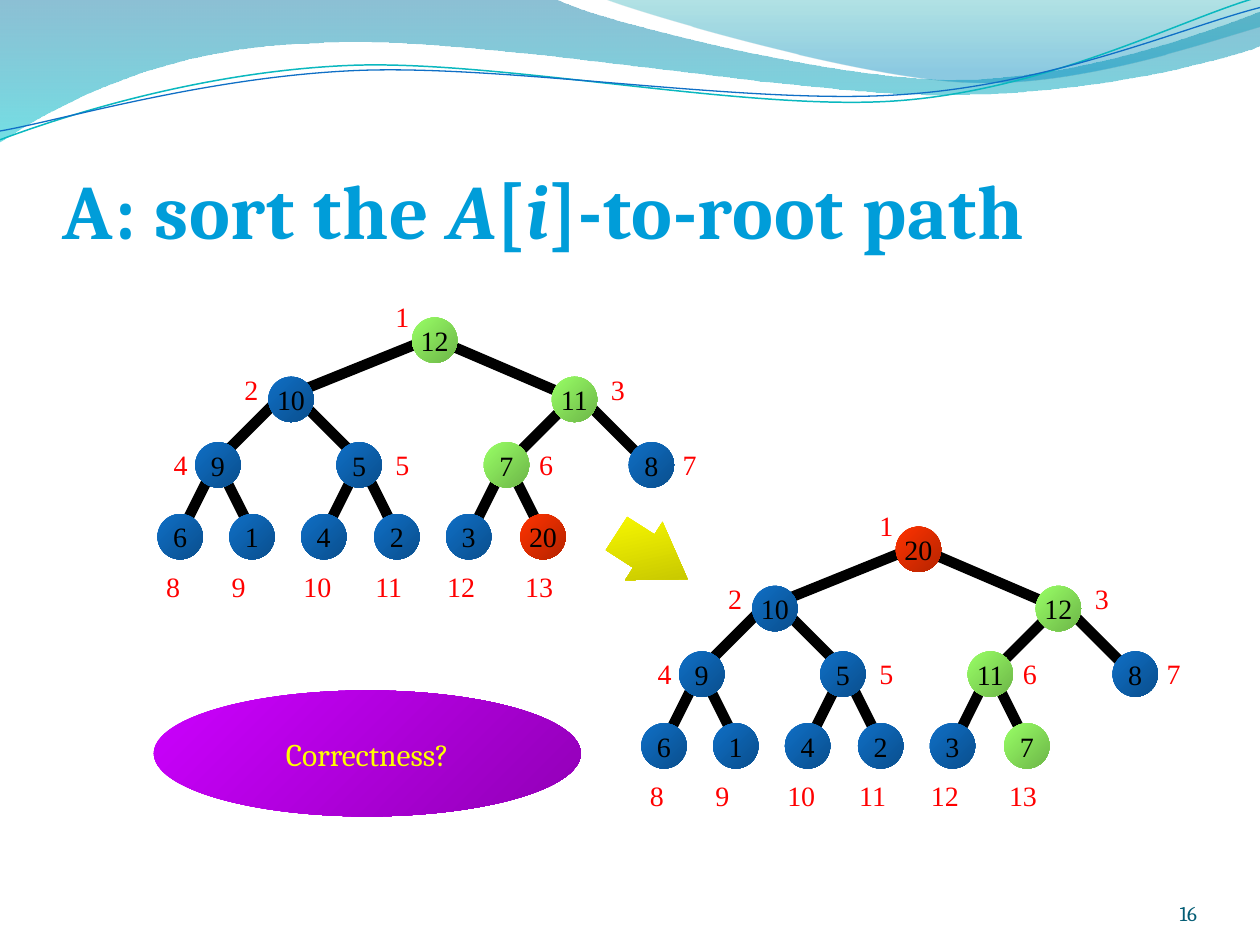
from lxml.etree import SubElement
from pptx import Presentation
from pptx.dml.color import RGBColor
from pptx.enum.shapes import MSO_CONNECTOR as Connector, MSO_SHAPE as Preset
from pptx.enum.text import MSO_ANCHOR as Anchor, MSO_AUTO_SIZE as AutoSize, PP_ALIGN as Align
from pptx.oxml.ns import qn
from pptx.util import Emu, Inches, Pt

# All lengths are in cells of a grid with 100 columns and 75 rows.
COLUMNS, ROWS = 100, 75
CELL = Inches(10) // COLUMNS
SERIF, NUMERALS = "Cambria", "Times New Roman"

COLORS = {
    "title": "009DD9", "page": "045D75", "index": "FF0000", "ink": "000000",
    "label": "FFFF00", "teal": "0AB8BF", "blue": "0F6FC6",
    "plain": "0F6FC6", "path": "99FF66", "moved": "FF3300",
    "arrow": "FFFF00", "question": "CC00FF",
}
DARK_END = {"shade": 46275}

# Heap slots 1 to 13, level by level: left edges of the nodes and of their index labels.
NODE_LEFTS = [32.7, 21.3, 43.8, 15.5, 26.7, 38.4, 49.9, 12.5, 18.2, 23.9, 29.7, 35.4, 41.3]
INDEX_LEFTS = [30.4, 18.4, 47.5, 12.8, 30.4, 41.8, 53.2, 12.2, 17.4, 23.1, 28.8, 34.5, 40.7]
NODE_TOPS = [25.2, 29.9, 35.1, 40.8]
INDEX_TOPS = [23.3, 29.1, 35, 44.7]
NODE_SIZE = 3.6

# Edges as start column, start row, columns across, rows down.
EDGES = [(34.3, 26.8, 11.9, 5.1), (34.3, 26.8, -11.4, 4.6)]
EDGES += [(23.4, 31.4, 5.2, 5.2), (22.4, 31.4, -5.2, 5.2),
          (46.2, 31.6, 5.2, 5.2), (45.4, 31.7, -5.2, 5.2)]
EDGES += [(x, 36.6, across, 6.2) for x in (17.2, 28.6, 40.2) for across in (-3.1, 3.1)]

BEFORE = [12, 10, 11, 9, 5, 7, 8, 6, 1, 4, 2, 3, 20]
AFTER = [20, 10, 12, 9, 5, 11, 8, 6, 1, 4, 2, 3, 7]
BEFORE_ROLES = {1: "path", 3: "path", 6: "path", 13: "moved"}
AFTER_ROLES = {1: "moved", 3: "path", 6: "path", 13: "path"}

# Wave outlines: a 2-tuple is a straight step, a 6-tuple is a cubic curve.
LEFT_WAVE = [
    (0, 0), (44, -0.1), (47.6, 1.7, 66.4, 6.3, 75.8, 6.3), (85.3, 6.3, 95.8, 2.6, 100, 0.9),
    (100.1, 3.6), (98.3, 4.4, 87, 7.6, 74.6, 7.5), (62.2, 7.5, 38.2, 2.8, 25.7, 3.4),
    (12.9, 3.6, 4.6, 8.3, -0.1, 11.3),
]
RIGHT_WAVE = [
    (47.9, -0.1), (50.9, 1.1, 68.2, 6.2, 76.9, 6.5), (85.6, 6.9, 96.1, 3.2, 100, 2.1), (100, 0),
]
TEAL_LINE = [
    (0, 11.1), (4.8, 9.3, 15.8, 5.7, 27.7, 5.2), (39.5, 4.7, 59.3, 8.9, 71.3, 8),
    (83.3, 7.1, 93.8, 1.5, 99.8, -0.2),
]
BLUE_LINE = [
    (0, 10.4), (4.7, 9.6, 16.4, 6.1, 28.3, 5.6), (40.3, 5.1, 59.7, 8.4, 71.7, 7.5),
    (83.6, 6.7, 94.1, 2.1, 100, 0.6),
]


def cells(*lengths):
    return [Emu(round(length * CELL)) for length in lengths]


def color(name):
    return RGBColor.from_string(COLORS[name])


def fill_gradient(shape, stops, angle):
    """Fill with stops of (percent, hex colour, colour changes); the angle runs clockwise."""
    shape.fill.solid()
    solid = shape._element.spPr.find(qn("a:solidFill"))
    gradient = solid.makeelement(qn("a:gradFill"), {"rotWithShape": "1"})
    stop_list = SubElement(gradient, qn("a:gsLst"))
    for percent, hex_color, changes in stops:
        stop = SubElement(stop_list, qn("a:gs"), pos=str(percent * 1000))
        tone = SubElement(stop, qn("a:srgbClr"), val=hex_color)
        for change, value in changes.items():
            SubElement(tone, qn(f"a:{change}"), val=str(value))
    SubElement(gradient, qn("a:lin"), ang=str(angle * 60000), scaled="0")
    solid.getparent().replace(solid, gradient)


def style_run(span, size, font_name, color_name):
    span.font.size = Pt(size)
    span.font.name = font_name
    span.font.color.rgb = color(color_name)


def add_wave(shapes, outline, closed):
    """Draw every control point as a corner, then merge each curve's three into one step."""
    points = [step[i:i + 2] for step in outline for i in range(0, len(step), 2)]
    builder = shapes.build_freeform(*cells(*points[0]))
    builder.add_line_segments([cells(*point) for point in points[1:]], close=closed)
    wave = builder.convert_to_shape()
    wave.shadow.inherit = False
    corners = iter(list(wave._element.iter(qn("a:lnTo"))))
    for step in outline[1:]:
        first = next(corners)
        if len(step) == 6:
            curve = first.makeelement(qn("a:cubicBezTo"), {})
            first.addprevious(curve)
            for corner in (first, next(corners), next(corners)):
                curve.append(corner[0])
                corner.getparent().remove(corner)
    return wave


def add_wave_area(shapes, outline, stops):
    wave = add_wave(shapes, outline, True)
    fill_gradient(wave, stops, 90)
    wave.line.fill.background()


def add_wave_line(shapes, outline, color_name, width):
    wave = add_wave(shapes, outline, False)
    wave.fill.background()
    wave.line.color.rgb = color(color_name)
    wave.line.width = Pt(width)


def add_gradient_shape(shapes, preset, place, role):
    shape = shapes.add_shape(preset, *cells(*place))
    shape.shadow.inherit = False
    fill_gradient(shape, [(0, COLORS[role], {}), (100, COLORS[role], DARK_END)], 45)
    shape.line.fill.background()
    return shape


def add_ellipse(shapes, place, role, text, size, font_name, color_name):
    ellipse = add_gradient_shape(shapes, Preset.OVAL, place, role)
    frame = ellipse.text_frame
    frame.text = text
    frame.word_wrap = False
    frame.vertical_anchor = Anchor.MIDDLE
    para = frame.paragraphs[0]
    para.alignment = Align.CENTER
    style_run(para.runs[0], size, font_name, color_name)


def add_index(shapes, left, top, index):
    text = str(index)
    box = shapes.add_textbox(*cells(left, top, 2 + 1.1 * len(text), 3.7))
    frame = box.text_frame
    frame.text = text
    frame.word_wrap = False
    frame.auto_size = AutoSize.SHAPE_TO_FIT_TEXT
    style_run(frame.paragraphs[0].runs[0], 16, NUMERALS, "index")


def add_edge(shapes, x, y, across, down):
    edge = shapes.add_connector(Connector.STRAIGHT, *cells(x, y, x + across, y + down))
    edge.line.color.rgb = color("ink")
    edge.line.width = Pt(6)
    SubElement(edge._element.spPr, qn("a:effectLst"))


def add_heap(shapes, values, roles, shift_x=0, shift_y=0):
    for x, y, across, down in EDGES:
        add_edge(shapes, x + shift_x, y + shift_y, across, down)
    for index, value in enumerate(values, 1):
        level = index.bit_length() - 1
        left, top = NODE_LEFTS[index - 1] + shift_x, NODE_TOPS[level] + shift_y
        add_ellipse(shapes, (left, top, NODE_SIZE, NODE_SIZE), roles.get(index, "plain"),
                    str(value), 16, NUMERALS, "ink")
        add_index(shapes, INDEX_LEFTS[index - 1] + shift_x, INDEX_TOPS[level] + shift_y, index)


def add_bottom_text(shapes, place, pieces, size, color_name, top_inset=0):
    """Add a text box set at its foot; each piece is (text, italic)."""
    frame = shapes.add_textbox(*cells(*place)).text_frame
    frame.word_wrap = True
    frame.vertical_anchor = Anchor.BOTTOM
    frame.margin_left = frame.margin_right = frame.margin_bottom = 0
    frame.margin_top = cells(top_inset)[0]
    para = frame.paragraphs[0]
    for text, italic in pieces:
        span = para.add_run()
        span.text = text
        style_run(span, size, SERIF, color_name)
        span.font.italic = italic
    return para


def main():
    deck = Presentation()
    deck.slide_width, deck.slide_height = cells(COLUMNS, ROWS)
    shapes = deck.slides.add_slide(deck.slide_layouts[6]).shapes

    add_wave_area(shapes, LEFT_WAVE,
                  [(0, "0074A1", {"alpha": 45000}), (100, "00C6CF", {"alpha": 55000})])
    add_wave_area(shapes, RIGHT_WAVE,
                  [(0, "00A1A9", {"alpha": 30000}), (80, "008BBF", {"alpha": 45000})])
    add_wave_line(shapes, TEAL_LINE, "teal", 0.85)
    add_wave_line(shapes, BLUE_LINE, "blue", 0.75)

    number = add_bottom_text(shapes, (86.7, 69.5, 8.3, 4), [("16", False)], 12, "page")
    number.alignment = Align.RIGHT
    title_pieces = [("A: sort the ", False), ("A", True), ("[", False), ("i", True),
                    ("]-to-root path", False)]
    title = add_bottom_text(shapes, (5, 7.7, 90, 12.5), title_pieces, 44, "title", 0.5)
    for span in title.runs:
        span.font.bold = True
        span.font._element.set("spc", "50")

    add_heap(shapes, BEFORE, BEFORE_ROLES)
    result = shapes.add_group_shape().shapes
    add_heap(result, AFTER, AFTER_ROLES, 38.4, 16.6)
    arrow = add_gradient_shape(result, Preset.RIGHT_ARROW, (48.4, 41.4, 6.7, 5.5), "arrow")
    arrow.adjustments[0], arrow.adjustments[1] = 0.57, 0.75
    arrow.rotation = 32.7
    add_ellipse(shapes, (12.2, 54.8, 33.9, 10), "question", "Correctness?", 18, SERIF, "label")
    deck.save("out.pptx")


if __name__ == "__main__":
    main()
